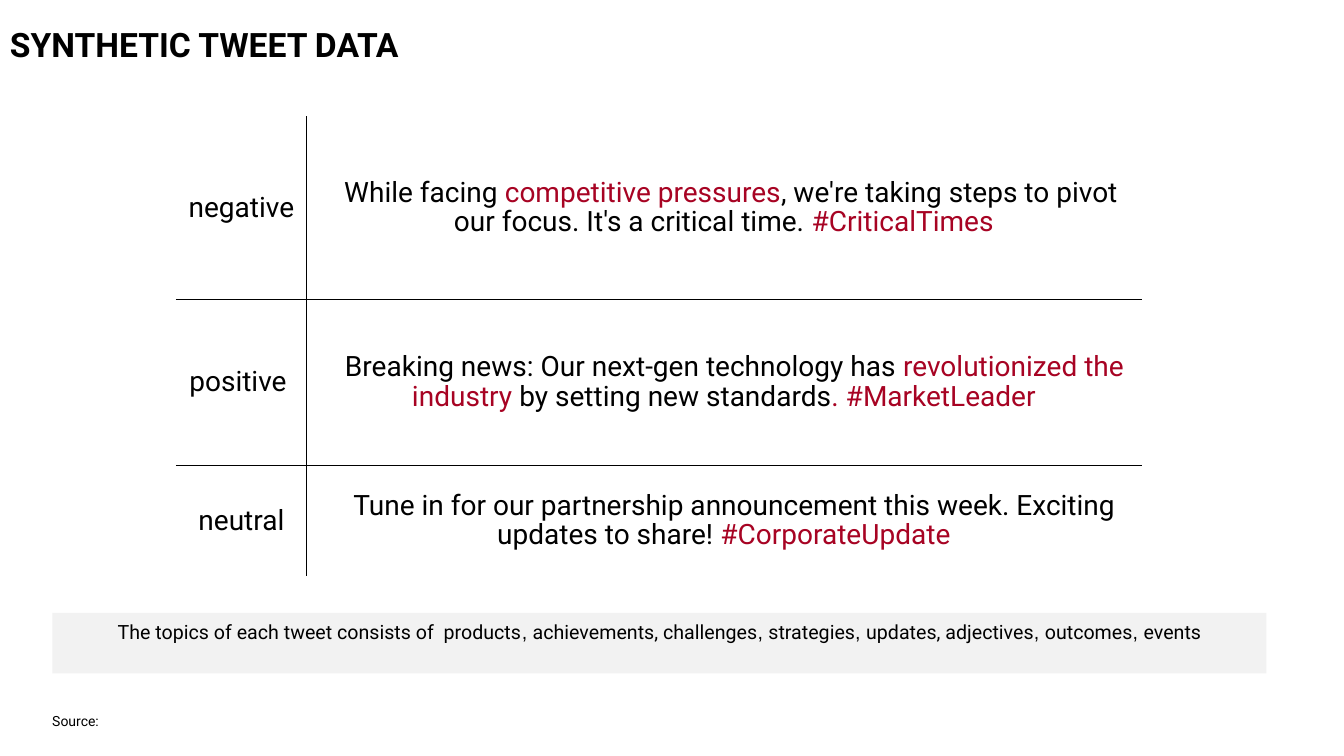
import pptx
import pptx.dml.color
import pptx.enum.shapes
import pptx.enum.text
import pptx.oxml
import pptx.oxml.ns
import pptx.util
from dataclasses import dataclass

Inches = pptx.util.Inches
Align = pptx.enum.text.PP_ALIGN
Anchor = pptx.enum.text.MSO_ANCHOR


@dataclass(frozen=True)
class Theme:
    font: str = "Roboto"
    comma_font: str = "Arial"
    black: str = "000000"
    accent: str = "A70323"
    panel: str = "F2F2F2"
    title_size: int = 24
    table_size: int = 20
    note_size: int = 14
    source_size: int = 10
    line_spacing: float = 0.9
    rule_width: int = 1


THEME = Theme()

TITLE = "SYNTHETIC TWEET DATA"
SOURCE = "Source:"
# Each tweet is a list of (text, highlighted) pieces.
TWEETS = [
    ("negative", [("While facing ", False), ("competitive pressures", True),
                  (", we're taking steps to pivot our focus. It's a critical time. ", False),
                  ("#CriticalTimes", True)]),
    ("positive ", [("Breaking news: Our next-gen technology has ", False),
                   ("revolutionized the industry ", True),
                   ("by setting new standards", False), (". #MarketLeader", True)]),
    ("neutral", [("Tune in for our partnership announcement this week. "
                  "Exciting updates to share! ", False),
                 ("#CorporateUpdate", True)]),
]
TOPICS = ["The topics of each tweet consists of  products", "achievements, challenges",
          "strategies", "updates, adjectives", "outcomes", "events"]

COLUMN_WIDTHS = [1.29, 8.28]
ROW_HEIGHTS = [1.81, 1.65, 1.1]
# Per row: label side, tweet side and vertical margins, then first-line indent of the tweet.
ROW_SPACING = [(0.1, 0.1, 0.07, 0.14), (0.1, 0, 0, 0.21), (0.1, 0, 0, 0.21)]


def rgb(value):
    return pptx.dml.color.RGBColor.from_string(value)


def style(paragraph, size, bold=False, align=Align.LEFT, spacing=THEME.line_spacing):
    paragraph.alignment = align
    paragraph.line_spacing = spacing
    font = paragraph.font
    font.name, font.size, font.bold = THEME.font, pptx.util.Pt(size), bold
    font.color.rgb = rgb(THEME.black)


def add_run(paragraph, text):
    run = paragraph.add_run()
    run.text = text
    return run


def add_label(slide, text, box, size, wrap, **options):
    frame = slide.shapes.add_textbox(*map(Inches, box)).text_frame
    frame.word_wrap = wrap
    frame.vertical_anchor = Anchor.MIDDLE
    frame.paragraphs[0].text = text
    style(frame.paragraphs[0], size, **options)


def set_borders(cell, sides):
    """Draw a rule on each side named by a letter of L, R, T, B, in that order."""
    properties = cell._tc.get_or_add_tcPr()
    for position, side in enumerate(sides):
        line = pptx.oxml.parse_xml(
            f'<a:ln{side} {pptx.oxml.ns.nsdecls("a")} w="{pptx.util.Pt(THEME.rule_width)}">'
            f'<a:solidFill><a:srgbClr val="{THEME.black}"/></a:solidFill></a:ln{side}>')
        properties.insert(position, line)


def fill_cell(cell, pieces, side_margin, vertical_margin, borders):
    cell.fill.background()
    cell.vertical_anchor = Anchor.MIDDLE
    cell.margin_left = cell.margin_right = Inches(side_margin)
    cell.margin_top = cell.margin_bottom = Inches(vertical_margin)
    set_borders(cell, borders)
    paragraph = cell.text_frame.paragraphs[0]
    style(paragraph, THEME.table_size, align=Align.CENTER)
    for text, highlighted in pieces:
        run = add_run(paragraph, text)
        if highlighted:
            run.font.color.rgb = rgb(THEME.accent)
    return paragraph


def add_tweet_table(slide):
    table = slide.shapes.add_table(
        len(TWEETS), len(COLUMN_WIDTHS), Inches(1.75), Inches(1.16),
        Inches(sum(COLUMN_WIDTHS)), Inches(sum(ROW_HEIGHTS))).table
    table.first_row = table.horz_banding = False
    for column, width in zip(table.columns, COLUMN_WIDTHS):
        column.width = Inches(width)
    for index, (label, tweet) in enumerate(TWEETS):
        table.rows[index].height = Inches(ROW_HEIGHTS[index])
        label_side, tweet_side, vertical, indent = ROW_SPACING[index]
        inner = ("T" if index else "") + ("B" if index < len(TWEETS) - 1 else "")
        fill_cell(table.cell(index, 0), [(label, False)], label_side, vertical, "R" + inner)
        paragraph = fill_cell(table.cell(index, 1), tweet, tweet_side, vertical, "L" + inner)
        properties = paragraph._p.get_or_add_pPr()
        properties.set("marL", "0")
        properties.set("indent", str(Inches(indent)))


def add_topics_panel(slide):
    panel = slide.shapes.add_shape(
        pptx.enum.shapes.MSO_SHAPE.RECTANGLE, *map(Inches, (0.52, 6.08, 12.04, 0.6)))
    panel.shadow.inherit = False
    panel.fill.solid()
    panel.fill.fore_color.rgb = rgb(THEME.panel)
    panel.line.fill.background()
    frame = panel.text_frame
    frame.word_wrap = True
    frame.vertical_anchor = Anchor.TOP
    frame.margin_left = frame.margin_right = Inches(0.1)
    frame.margin_top = frame.margin_bottom = Inches(0.1)
    paragraph = frame.paragraphs[0]
    style(paragraph, THEME.note_size, align=Align.CENTER)
    for index, topic in enumerate(TOPICS):
        if index:
            add_run(paragraph, ", ").font.name = THEME.comma_font
        add_run(paragraph, topic)


def main():
    presentation = pptx.Presentation()
    presentation.slide_width, presentation.slide_height = Inches(13.33), Inches(7.5)
    slide = presentation.slides.add_slide(presentation.slide_layouts[6])
    add_label(slide, SOURCE, (0.42, 7.02, 0.67, 0.27), THEME.source_size, False, spacing=1.0)
    add_label(slide, TITLE, (0, 0.15, 12.04, 0.62), THEME.title_size, True, bold=True)
    add_tweet_table(slide)
    add_topics_panel(slide)
    presentation.save("out.pptx")


if __name__ == "__main__":
    main()
